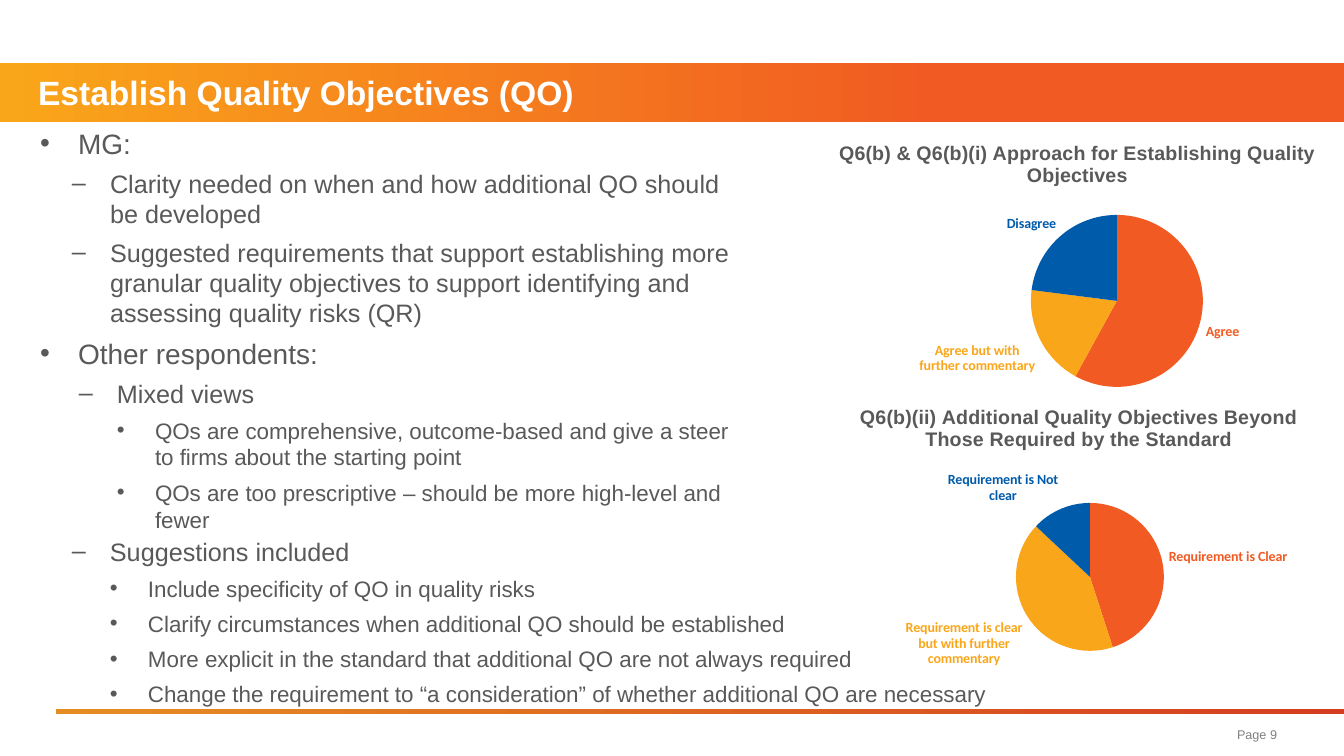
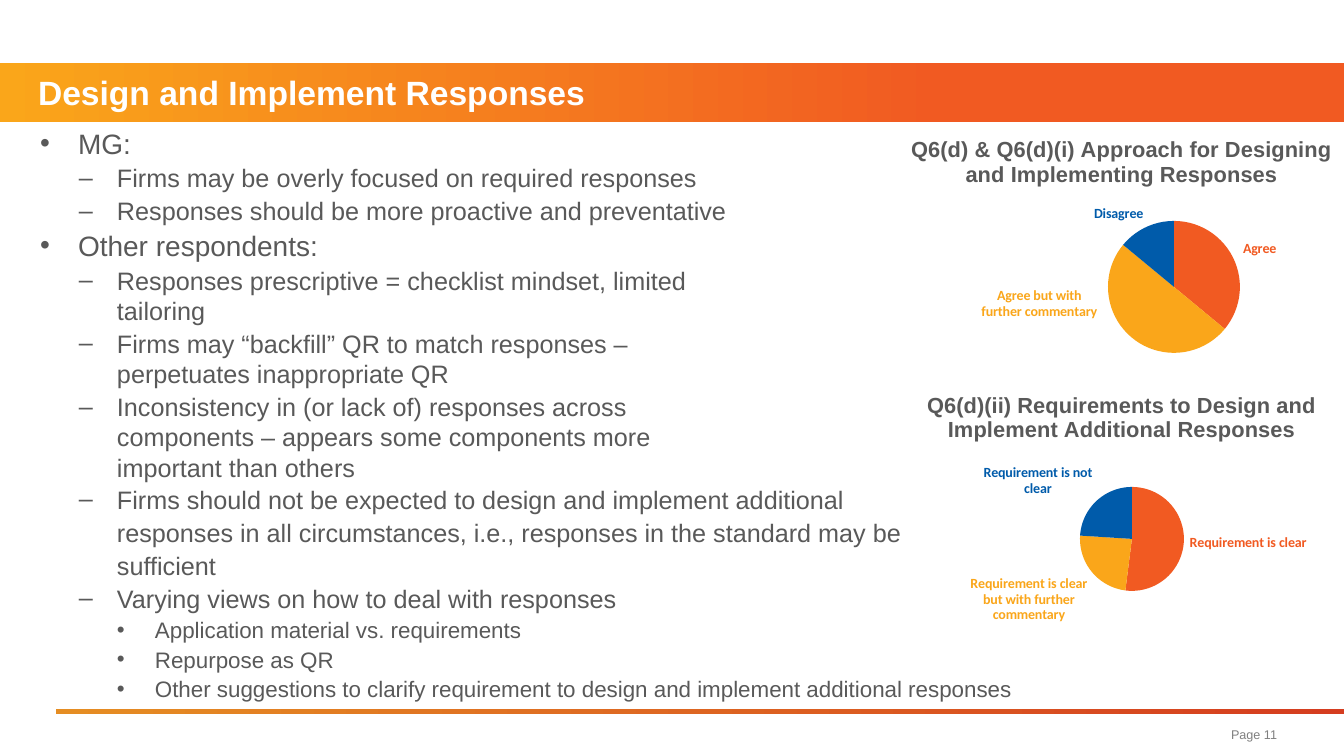
from lxml.etree import SubElement
from pptx import Presentation
from pptx.chart.data import CategoryChartData
from pptx.dml.color import RGBColor
from pptx.enum.chart import XL_CHART_TYPE as ChartType, XL_LABEL_POSITION as LabelPosition
from pptx.enum.shapes import MSO_SHAPE as Shape
from pptx.enum.text import MSO_ANCHOR as Anchor, PP_ALIGN as Align
from pptx.oxml import parse_xml
from pptx.oxml.ns import nsdecls, qn
from pptx.util import Emu, Pt

WHITE = RGBColor(0xFF, 0xFF, 0xFF)
TEXT_GRAY = RGBColor(0x59, 0x59, 0x59)
PAGE_GRAY = RGBColor(0x80, 0x80, 0x80)
AMBER = RGBColor(0xFA, 0xA6, 0x1A)
ORANGE = RGBColor(0xF1, 0x5A, 0x22)
BLUE = RGBColor(0x00, 0x5B, 0xAA)
RULE_LEFT = RGBColor(0xE5, 0x8D, 0x23)
RULE_RIGHT = RGBColor(0xD5, 0x3D, 0x20)
PIE_COLORS = [ORANGE, AMBER, BLUE]

PX = 914400 / 100.8
WIDTH, HEIGHT = 1344, 756
HANG = 38
LEVEL_SIZES = [20, 18, 16]
LEVEL_BULLETS = ["•", "–", "•"]

SLIDES = [
    {
        "title": "Establish Quality Objectives (QO)",
        "page": "Page 9",
        "gap": 3,
        "title_size": 14,
        "bodies": [
            ((27, 126, 717, 410), [
                (0, "MG:", 38),
                (1, "Clarity needed on when and how additional QO should be developed", 70),
                (1, "Suggested requirements that support establishing more granular quality "
                    "objectives to support identifying and assessing quality risks (QR)", 70),
                (0, "Other respondents:", 38),
                (1, "Mixed views", 77),
                (2, "QOs are comprehensive, outcome-based and give a steer to firms about "
                    "the starting point", 115),
                (2, "QOs are too prescriptive – should be more high-level and fewer", 115),
            ]),
            ((20, 536, 1305, 174), [
                (1, "Suggestions included", 77),
                (2, "Include specificity of QO in quality risks", 115),
                (2, "Clarify circumstances when additional QO should be established", 115),
                (2, "More explicit in the standard that additional QO are not always required", 115),
                (2, "Change the requirement to “a consideration” of whether additional QO "
                    "are necessary", 115),
            ]),
        ],
        "charts": [
            {
                "box": (771, 126, 612, 284),
                "title": "Q6(b) & Q6(b)(i) Approach for Establishing Quality\nObjectives",
                "title_at": (836, 138),
                "pie": (1117, 301, 86),
                "values": {"Agree": 58, "Agree but with further commentary": 19, "Disagree": 23},
                "label_shifts": {},
            },
            {
                "box": (775, 389, 609, 303),
                "title": "Q6(b)(ii) Additional Quality Objectives Beyond\n"
                         "Those Required by the Standard",
                "title_at": (857, 402),
                "pie": (1090, 577, 74),
                "values": {"Requirement is Clear": 45,
                           "Requirement is clear but with further commentary": 42,
                           "Requirement is Not clear": 13},
                "label_shifts": {},
            },
        ],
    },
    {
        "title": "Design and Implement Responses",
        "page": "Page 11",
        "gap": 1,
        "title_size": 15.6,
        "bodies": [
            ((27, 126, 717, 358), [
                (0, "MG:", 38),
                (1, "Firms may be overly focused on required responses", 77),
                (1, "Responses should be more proactive and preventative", 77),
                (0, "Other respondents:", 38),
                (1, "Responses prescriptive = checklist mindset, limited tailoring", 77),
                (1, "Firms may “backfill” QR to match responses – perpetuates "
                    "inappropriate QR", 77),
                (1, "Inconsistency in (or lack of) responses across components – appears "
                    "some components more important than others", 77),
            ]),
            ((27, 484, 1305, 224), [
                (1, "Firms should not be expected to design and implement additional", 77),
                (None, "responses in all circumstances, i.e., responses in the standard may be", 77),
                (None, "sufficient", 77),
                (1, "Varying views on how to deal with responses", 77),
                (2, "Application material vs. requirements", 115),
                (2, "Repurpose as QR", 115),
                (2, "Other suggestions to clarify requirement to design and implement "
                    "additional responses", 115),
            ]),
        ],
        "charts": [
            {
                "box": (832, 121, 619, 272),
                "title": "Q6(d) & Q6(d)(i) Approach for Designing\nand Implementing Responses",
                "title_at": (908, 133),
                "pie": (1174, 287, 66),
                "values": {"Agree": 36, "Agree but with further commentary": 50, "Disagree": 14},
                "label_shifts": {0: (4, 0), 1: (-31, -54)},
            },
            {
                "box": (814, 378, 615, 264),
                "title": "Q6(d)(ii) Requirements to Design and\nImplement Additional Responses",
                "title_at": (924, 388),
                "pie": (1132, 539, 52),
                "values": {"Requirement is clear": 52,
                           "Requirement is clear but with further commentary": 24,
                           "Requirement is not clear": 24},
                "label_shifts": {},
            },
        ],
    },
]


def px(*lengths):
    return [Emu(round(length * PX)) for length in lengths]


def set_layout(parent, index, target, mode, **fractions):
    for old_layout in parent.findall(qn("c:layout")):
        parent.remove(old_layout)
    layout = parse_xml(f"<c:layout {nsdecls('c')}><c:manualLayout/></c:layout>")
    if target:
        SubElement(layout[0], qn("c:layoutTarget"), val=target)
    for axis in ("xMode", "yMode"):
        SubElement(layout[0], qn(f"c:{axis}"), val=mode)
    for name, fraction in fractions.items():
        SubElement(layout[0], qn(f"c:{name}"), val=f"{fraction:.4f}")
    parent.insert(index, layout)


presentation = Presentation()
presentation.slide_width, presentation.slide_height = px(WIDTH, HEIGHT)

for content in SLIDES:
    slide = presentation.slides.add_slide(presentation.slide_layouts[6])

    bars = []
    for box, colors, end in [
        ((0, 63, WIDTH, 59), (AMBER, ORANGE), 0.7),
        ((56, 709, WIDTH - 56, 5), (RULE_LEFT, RULE_RIGHT), 1),
    ]:
        bar = slide.shapes.add_shape(Shape.RECTANGLE, *px(*box))
        bar.shadow.inherit = False
        bar.line.fill.background()
        bar.fill.gradient()
        bar.fill.gradient_angle = 0
        for stop, color, position in zip(bar.fill.gradient_stops, colors, (0, end)):
            stop.color.rgb = color
            stop.position = position
        bars.append(bar)

    page_box = slide.shapes.add_textbox(*px(1047, 718, 230, 33))
    for shape, text, size, color, align, left in [
        (bars[0], content["title"], 24, WHITE, Align.LEFT, HANG),
        (page_box, content["page"], 9, PAGE_GRAY, Align.RIGHT, 0),
    ]:
        frame = shape.text_frame
        frame.text = text
        frame.word_wrap = True
        frame.vertical_anchor = Anchor.MIDDLE
        frame.margin_left, frame.margin_top, frame.margin_right, frame.margin_bottom = px(left, 0, 0, 0)
        paragraph = frame.paragraphs[0]
        paragraph.alignment = align
        font = paragraph.runs[0].font
        font.name, font.size, font.bold = "Arial", Pt(size), shape is bars[0]
        font.color.rgb = color

    for box, items in content["bodies"]:
        frame = slide.shapes.add_textbox(*px(*box)).text_frame
        frame.word_wrap = True
        frame.margin_left, frame.margin_top, frame.margin_right, frame.margin_bottom = px(13, 0, 13, 0)
        frame.text = "\n".join(text for _, text, _ in items)
        for number, (paragraph, (level, _, indent)) in enumerate(zip(frame.paragraphs, items)):
            paragraph.level = 1 if level is None else level
            paragraph.space_before = Pt(content["gap"] if number else 0)
            paragraph.space_after = Pt(content["gap"])
            properties = paragraph._p.get_or_add_pPr()
            properties.set("marL", str(px(indent)[0]))
            properties.set("indent", str(px(0 if level is None else -HANG)[0]))
            if level is None:
                SubElement(properties, qn("a:buNone"))
            else:
                SubElement(properties, qn("a:buFont"), typeface="Arial")
                SubElement(properties, qn("a:buChar"), char=LEVEL_BULLETS[level])
            font = paragraph.runs[0].font
            font.name, font.size = "Arial", Pt(LEVEL_SIZES[paragraph.level])
            font.color.rgb = TEXT_GRAY

    for item in content["charts"]:
        left, top, width, height = item["box"]
        data = CategoryChartData()
        data.categories = list(item["values"])
        data.add_series("Series 1", list(item["values"].values()))
        chart = slide.shapes.add_chart(ChartType.PIE, *px(*item["box"]), data).chart
        chart.has_legend = False
        chart.font.name, chart.font.size = "Calibri", Pt(10)

        chart.has_title = True
        title = chart.chart_title
        title.text_frame.text = item["title"]
        for paragraph in title.text_frame.paragraphs:
            font = paragraph.runs[0].font
            font.name, font.size, font.bold = "Arial", Pt(content["title_size"]), True
            font.color.rgb = TEXT_GRAY
        title_left, title_top = item["title_at"]
        set_layout(title._element, 1, None, "edge",
                   x=(title_left - left) / width, y=(title_top - top) / height)

        center_x, center_y, radius = item["pie"]
        plot = chart.plots[0]
        plot.vary_by_categories = True
        set_layout(plot._element.getparent(), 0, "inner", "edge",
                   x=(center_x - radius - left) / width, y=(center_y - radius - top) / height,
                   w=2 * radius / width, h=2 * radius / height)

        for number, color in enumerate(PIE_COLORS):
            point = plot.series[0].points[number]
            point.format.fill.solid()
            point.format.fill.fore_color.rgb = color
            label = point.data_label
            label.font.name, label.font.size, label.font.bold = "Calibri", Pt(10), True
            label.font.color.rgb = color
            label.position = LabelPosition.OUTSIDE_END
        for number, label_element in enumerate(plot._element.iter(qn("c:dLbl"))):
            label_element.find(qn("c:showVal")).set("val", "0")
            label_element.find(qn("c:showCatName")).set("val", "1")
            if number in item["label_shifts"]:
                shift_x, shift_y = item["label_shifts"][number]
                set_layout(label_element, 1, None, "factor", x=shift_x / width, y=shift_y / height)
        for leader_lines in plot._element.iter(qn("c:showLeaderLines")):
            leader_lines.set("val", "0")

presentation.save("out.pptx")
